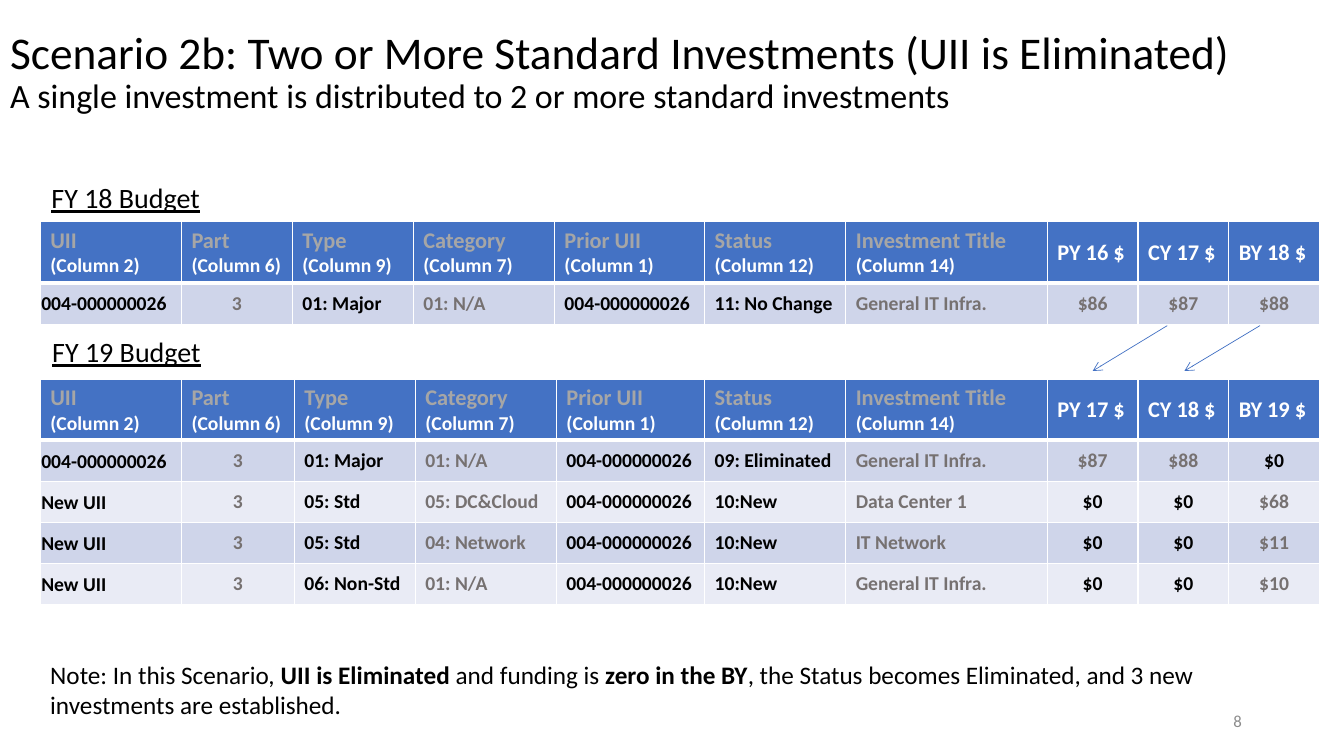
from dataclasses import dataclass
from typing import Any

from lxml.etree import SubElement
from pptx import Presentation
from pptx.dml.color import RGBColor
from pptx.enum.shapes import MSO_CONNECTOR as Connector
from pptx.enum.text import MSO_ANCHOR as Anchor, MSO_AUTO_SIZE as AutoSize, PP_ALIGN as Align
from pptx.oxml.ns import qn
from pptx.util import Pt


@dataclass(frozen=True)
class Theme:
    font: str = "Calibri"
    black: str = "000000"
    white: str = "FFFFFF"
    blue: str = "4472C4"
    bands: tuple[str, str] = ("CFD5EA", "E9EBF5")
    header_gray: str = "A6A6A6"
    cell_gray: str = "767171"
    number_gray: str = "8C8C8C"
    title: float = 32.4
    subtitle: float = 24.3
    label: float = 20
    note: float = 18
    header: float = 16
    cell: float = 14
    number: float = 12


@dataclass(frozen=True)
class Column:
    name: str
    number: int
    gray: bool = False
    centred: bool = False


@dataclass(frozen=True)
class Budget:
    top: float
    widths: tuple[float, ...]
    years: tuple[str, ...]
    rows: tuple[tuple[str, ...], ...]


@dataclass(frozen=True)
class Arrow:
    x1: float
    x2: float
    y1: float = 232.6
    y2: float = 265


THEME = Theme()
HEADER_HEIGHT, ROW_HEIGHT, LEFT, WIDTH = 43.2, 29.3, 28.8, 913.7

COLUMNS = (
    Column("UII", 2),
    Column("Part", 6, gray=True, centred=True),
    Column("Type", 9),
    Column("Category", 7, gray=True),
    Column("Prior UII", 1),
    Column("Status", 12),
    Column("Investment Title", 14, gray=True),
)
UII = "004-000000026"
BUDGETS = (
    Budget(158.4, (100.8, 79.2, 86.4, 100.8, 107.3, 100.8, 144, 64.8, 64.8, 64.8),
           ("PY 16 $", "CY 17 $", "BY 18 $"), (
        (UII, "3", "01: Major", "01: N/A", UII, "11: No Change", "General IT Infra.", "$86", "$87", "$88"),
    )),
    Budget(270.7, (100.8, 80.6, 86.4, 100.8, 105.9, 100.8, 144, 64.8, 64.8, 64.8),
           ("PY 17 $", "CY 18 $", "BY 19 $"), (
        (UII, "3", "01: Major", "01: N/A", UII, "09: Eliminated", "General IT Infra.", "$87", "$88", "$0"),
        ("New UII", "3", "05: Std", "05: DC&Cloud", UII, "10:New", "Data Center 1", "$0", "$0", "$68"),
        ("New UII", "3", "05: Std", "04: Network", UII, "10:New", "IT Network", "$0", "$0", "$11"),
        ("New UII", "3", "06: Non-Std", "01: N/A", UII, "10:New", "General IT Infra.", "$0", "$0", "$10"),
    )),
)
ARROWS = (Arrow(833.8, 780.5), Arrow(900, 846))
NOTE = (
    ("Note: In this Scenario, ", False),
    ("UII is Eliminated ", True),
    ("and funding is ", False),
    ("zero in the BY", True),
    (", the Status becomes Eliminated, and 3 new investments are established.", False),
)


def add_text(p: Any, text: str, *, size: float, color: str = THEME.black, bold: bool = False,
             underline: bool = False, align: Align = Align.LEFT) -> None:
    p.alignment = align
    r = p.add_run()
    r.text = text
    r.font.name, r.font.size, r.font.bold = THEME.font, Pt(size), bold
    r.font.color.rgb = RGBColor.from_string(color)
    if underline:
        r.font.underline = True


def place(sp: Any, left: float, top: float, width: float, height: float,
          anchor: Anchor = Anchor.TOP) -> Any:
    sp.left, sp.top, sp.width, sp.height = Pt(left), Pt(top), Pt(width), Pt(height)
    tf = sp.text_frame
    tf.word_wrap, tf.auto_size, tf.vertical_anchor = True, AutoSize.NONE, anchor
    return tf


def add_box(s: Any) -> Any:
    return s.shapes.add_textbox(0, 0, 0, 0)


def add_label(sp: Any, text: str, left: float, top: float) -> None:
    p = place(sp, left, top, 172.1, 42.5).paragraphs[0]
    add_text(p, text, size=THEME.label, underline=True)
    p.line_spacing, p.space_before = 0.9, Pt(10)
    pPr = p._p.get_or_add_pPr()
    pPr.set("marL", "0")
    pPr.set("indent", "0")
    SubElement(pPr, qn("a:buNone"))


def style_cell(cell: Any, fill: str, bottom: float) -> None:
    tcPr = cell._tc.get_or_add_tcPr()
    for side, width in (("L", 1), ("R", 1), ("T", 1), ("B", bottom)):
        ln = SubElement(tcPr, qn(f"a:ln{side}"), w=str(Pt(width)))
        SubElement(SubElement(ln, qn("a:solidFill")), qn("a:srgbClr"), val=THEME.white)
    cell.fill.solid()
    cell.fill.fore_color.rgb = RGBColor.from_string(fill)


def add_budget(s: Any, budget: Budget) -> None:
    count = len(budget.rows)
    table = s.shapes.add_table(count + 1, len(budget.widths), Pt(LEFT), Pt(budget.top), Pt(WIDTH),
                               Pt(HEADER_HEIGHT + count * ROW_HEIGHT)).table
    for col, width in zip(table.columns, budget.widths):
        col.width = Pt(width)
    for i, row in enumerate(table.rows):
        row.height = Pt(ROW_HEIGHT if i else HEADER_HEIGHT)

    # Header row
    for j in range(len(budget.widths)):
        cell = table.cell(0, j)
        style_cell(cell, THEME.blue, 3)
        p = cell.text_frame.paragraphs[0]
        if j < len(COLUMNS):
            add_text(p, COLUMNS[j].name, size=THEME.header, color=THEME.header_gray, bold=True)
            add_text(cell.text_frame.add_paragraph(), f"(Column {COLUMNS[j].number})",
                     size=THEME.cell, color=THEME.white, bold=True)
        else:
            cell.vertical_anchor = Anchor.MIDDLE
            add_text(p, budget.years[j - len(COLUMNS)], size=THEME.header, color=THEME.white, bold=True)

    # Investment rows: only zero amounts are black
    for i, values in enumerate(budget.rows):
        for j, value in enumerate(values):
            cell = table.cell(i + 1, j)
            style_cell(cell, THEME.bands[i % 2], 1)
            cell.vertical_anchor = Anchor.MIDDLE
            if j == 0:
                cell.margin_left = cell.margin_right = cell.margin_top = Pt(0.7)
                cell.margin_bottom = 0
            money = j >= len(COLUMNS)
            gray = value != "$0" if money else COLUMNS[j].gray
            centred = money or COLUMNS[j].centred
            add_text(cell.text_frame.paragraphs[0], value, size=THEME.cell, bold=True,
                     color=THEME.cell_gray if gray else THEME.black,
                     align=Align.CENTER if centred else Align.LEFT)


def add_arrow(s: Any, arrow: Arrow) -> None:
    line = s.shapes.add_connector(Connector.STRAIGHT, Pt(arrow.x1), Pt(arrow.y1), Pt(arrow.x2), Pt(arrow.y2))
    line.line.width = Pt(0.5)
    line.line.color.rgb = RGBColor.from_string(THEME.blue)
    SubElement(line.line._get_or_add_ln(), qn("a:tailEnd"), type="arrow")
    SubElement(line._element.spPr, qn("a:effectLst"))


def main() -> None:
    prs = Presentation()
    prs.slide_width, prs.slide_height = Pt(960), Pt(540)
    s = prs.slides.add_slide(prs.slide_layouts[1])

    # Title and subtitle
    p = place(s.shapes.title, 0, 7.2, 960, 90, Anchor.MIDDLE).paragraphs[0]
    p.line_spacing = 0.9
    add_text(p, "Scenario 2b: Two or More Standard Investments (UII is Eliminated)", size=THEME.title)
    p.add_line_break()
    add_text(p, "A single investment is distributed to 2 or more standard investments", size=THEME.subtitle)

    # Budgets
    add_label(s.placeholders[1], "FY 18 Budget", 29.5, 128.2)
    add_label(add_box(s), "FY 19 Budget", 30.2, 238.3)
    for budget in BUDGETS:
        add_budget(s, budget)
    for arrow in ARROWS:
        add_arrow(s, arrow)

    # Note and slide number
    p = place(add_box(s), LEFT, 467.3, WIDTH, 51.1).paragraphs[0]
    for text, bold in NOTE:
        add_text(p, text, size=THEME.note, bold=bold)
    p = place(add_box(s), 678.2, 500.4, 216, 28.8, Anchor.MIDDLE).paragraphs[0]
    add_text(p, "8", size=THEME.number, color=THEME.number_gray, align=Align.RIGHT)

    prs.save("out.pptx")


if __name__ == "__main__":
    main()
